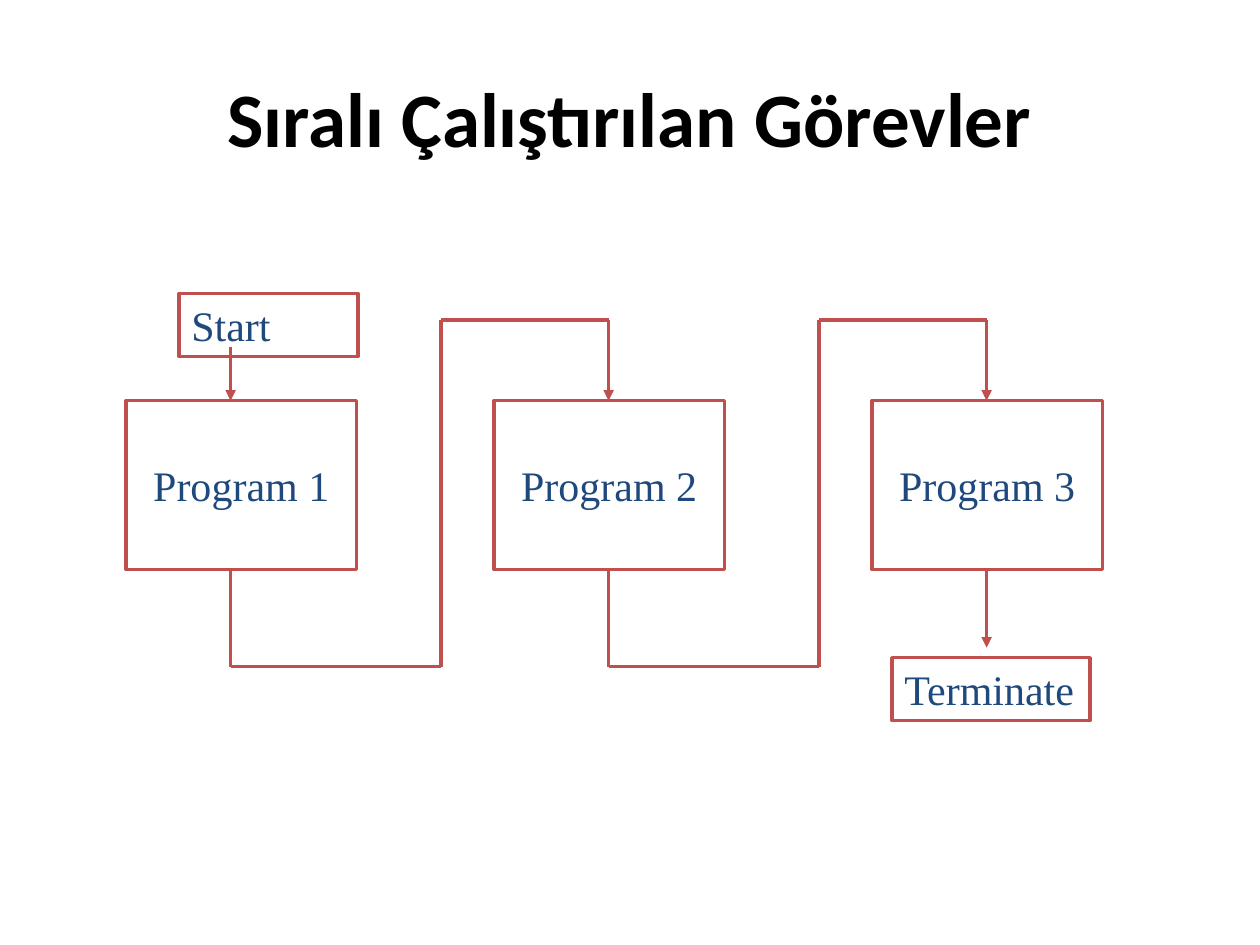
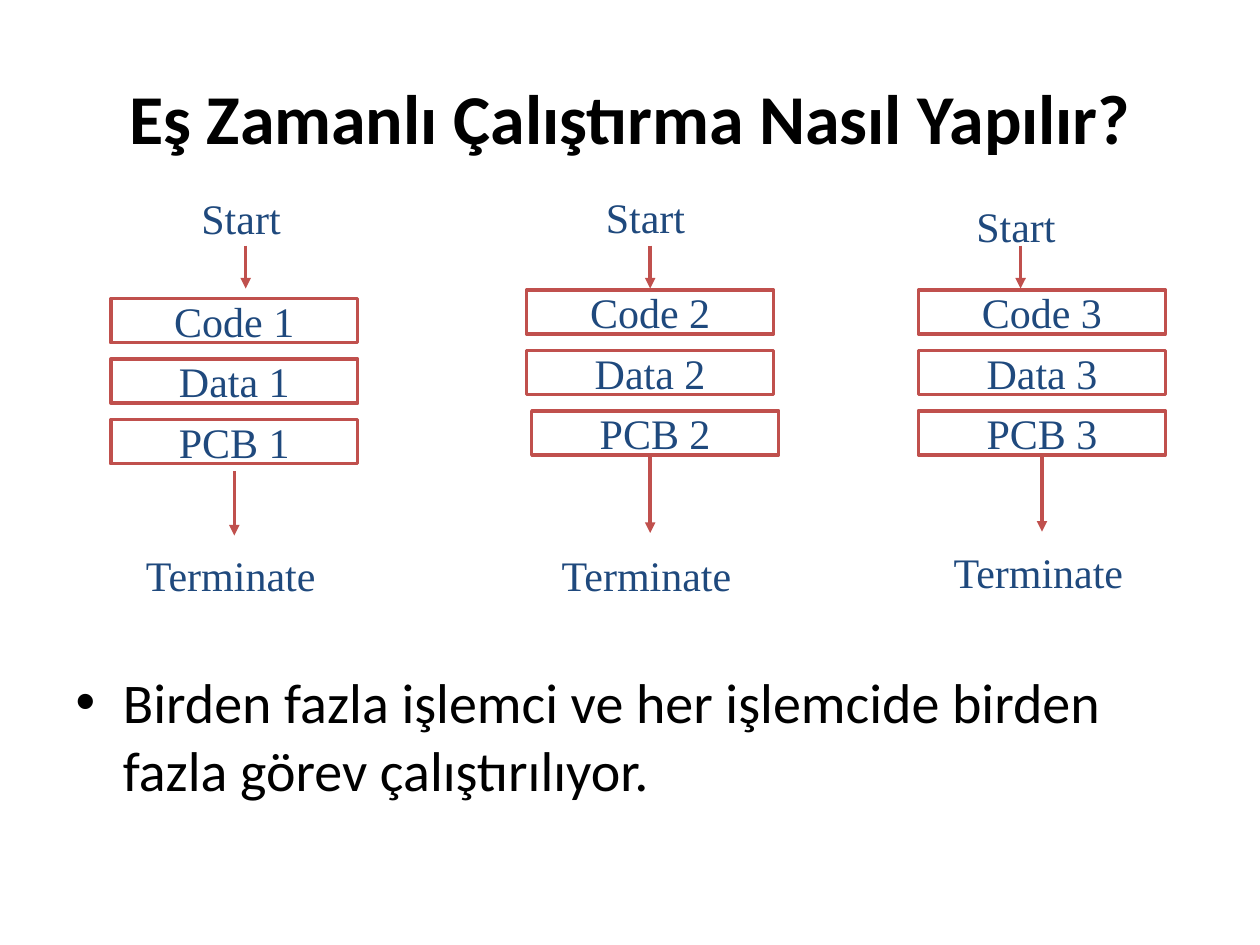
from itertools import pairwise

from lxml.etree import SubElement
from pptx import Presentation
from pptx.dml.color import RGBColor
from pptx.enum.shapes import MSO_CONNECTOR as CONN, MSO_SHAPE as SHAPE
from pptx.enum.text import MSO_ANCHOR as ANCHOR, PP_ALIGN as ALIGN
from pptx.oxml.ns import qn
from pptx.util import Inches, Pt

BLACK = RGBColor(0x00, 0x00, 0x00)
WHITE = RGBColor(0xFF, 0xFF, 0xFF)
RED = RGBColor(0xC0, 0x50, 0x4D)
NAVY = RGBColor(0x1F, 0x49, 0x7D)
TEXT_FONT, DIAGRAM_FONT = "Calibri", "Times New Roman"
LINE_WIDTH = Pt(2)


# Shared parts
def place(shape, x, y, w, h):
    shape.left, shape.top = Inches(x), Inches(y)
    shape.width, shape.height = Inches(w), Inches(h)


def write(tf, text, size, font, color, bold=False):
    tf.text = text
    f = tf.paragraphs[0].runs[0].font
    f.size, f.name, f.bold = Pt(size), font, bold
    f.color.rgb = color


def add_slide(prs, layout, title, size):
    s = prs.slides.add_slide(prs.slide_layouts[layout])
    place(s.shapes.title, 0.5, 0.3, 9, 1.25)
    tf = s.shapes.title.text_frame
    tf.vertical_anchor = ANCHOR.MIDDLE
    write(tf, title, size, TEXT_FONT, BLACK, bold=True)
    tf.paragraphs[0].alignment = ALIGN.CENTER
    return s


def add_box(s, text, x, y, w, h, outlined=True, centered=True, wrap=False):
    sp = s.shapes.add_shape(SHAPE.RECTANGLE, Inches(x), Inches(y), Inches(w), Inches(h))
    sp.shadow.inherit = False
    sp.fill.solid()
    sp.fill.fore_color.rgb = WHITE
    if outlined:
        sp.line.color.rgb = RED
        sp.line.width = LINE_WIDTH
    else:
        sp.line.fill.background()
    tf = sp.text_frame
    write(tf, text, 24, DIAGRAM_FONT, NAVY)
    tf.word_wrap = wrap
    tf.vertical_anchor = ANCHOR.MIDDLE if centered else ANCHOR.TOP
    tf.paragraphs[0].alignment = ALIGN.CENTER if centered else ALIGN.LEFT


def add_line(s, start, end, arrow=False):
    c = s.shapes.add_connector(CONN.STRAIGHT, *(Inches(v) for v in (*start, *end)))
    c.line.color.rgb = RED
    c.line.width = LINE_WIDTH
    if arrow:
        SubElement(c.line._get_or_add_ln(), qn("a:tailEnd"), type="triangle")
    SubElement(c._element.spPr, qn("a:effectLst"))


def add_path(s, points):
    """Joined straight lines with an arrowhead on the last one."""
    for start, end in pairwise(points):
        add_line(s, start, end, arrow=end == points[-1])


# Programs run one after another
def draw_sequence(s, x, y):
    pitch, box_w, box_h = 3, 1.83, 1.34
    top, bottom = y + 0.85, y + 2.18
    axes = [x + 0.83 + pitch * i for i in range(3)]
    for number, left in enumerate((x, x + 2.92, x + 5.92), 1):
        add_box(s, f"Program {number}", left, top, box_w, box_h)

    add_box(s, "Start", x + 0.42, y, 1.42, 0.5, centered=False, wrap=True)
    add_path(s, [(axes[0], y + 0.42), (axes[0], top)])

    # Route from the foot of each program to the head of the next
    low, high = y + 2.96, y + 0.21
    for here, following in pairwise(axes):
        turn = here + 1.67
        add_path(s, [(here, bottom), (here, low), (turn, low),
                     (turn, high), (following, high), (following, top)])

    add_box(s, "Terminate", x + 6.08, y + 2.89, 1.57, 0.5, centered=False)
    add_path(s, [(axes[-1], bottom), (axes[-1], y + 2.81)])


# One task: start, its three memory blocks, end
def draw_task(s, number, x, y, start, exit_span, end_y, pcb_shift=0):
    start_x, start_y = start
    add_box(s, "Start", start_x, start_y, 1.51, 0.62,
            outlined=False, centered=False, wrap=True)
    entry = start_x + 0.45
    add_path(s, [(entry, 1.95), (entry, 2.29)])

    add_box(s, "Terminate", x + 0.18, end_y, 1.67, 0.62, outlined=False, centered=False)
    add_path(s, [(x + 0.98, v) for v in exit_span])

    for row, part in enumerate(("Code", "Data", "PCB")):
        shift = pcb_shift if part == "PCB" else 0
        add_box(s, f"{part} {number}", x + shift, y + 0.48 * row, 1.96, 0.35)


def sequential_slide(prs):
    s = add_slide(prs, 5, "Sıralı Çalıştırılan Görevler", 44)
    draw_sequence(s, 1, 2.33)


def concurrent_slide(prs):
    s = add_slide(prs, 1, "Eş Zamanlı Çalıştırma Nasıl Yapılır?", 40)
    body = s.placeholders[1]
    place(body, 0.5, 5.25, 9, 1.74)
    write(body.text_frame, "Birden fazla işlemci ve her işlemcide birden fazla "
          "görev çalıştırılıyor.", 32, TEXT_FONT, BLACK)

    draw_task(s, 1, 0.88, 2.37, (1.5, 1.48), (3.74, 4.25), 4.31)
    draw_task(s, 2, 4.18, 2.3, (4.71, 1.47), (3.6, 4.23), 4.31, pcb_shift=0.04)
    draw_task(s, 3, 7.29, 2.3, (7.65, 1.54), (3.6, 4.22), 4.29)


def main():
    prs = Presentation()
    prs.slide_width, prs.slide_height = Inches(10), Inches(7.5)
    sequential_slide(prs)
    concurrent_slide(prs)
    prs.save("out.pptx")


if __name__ == "__main__":
    main()
